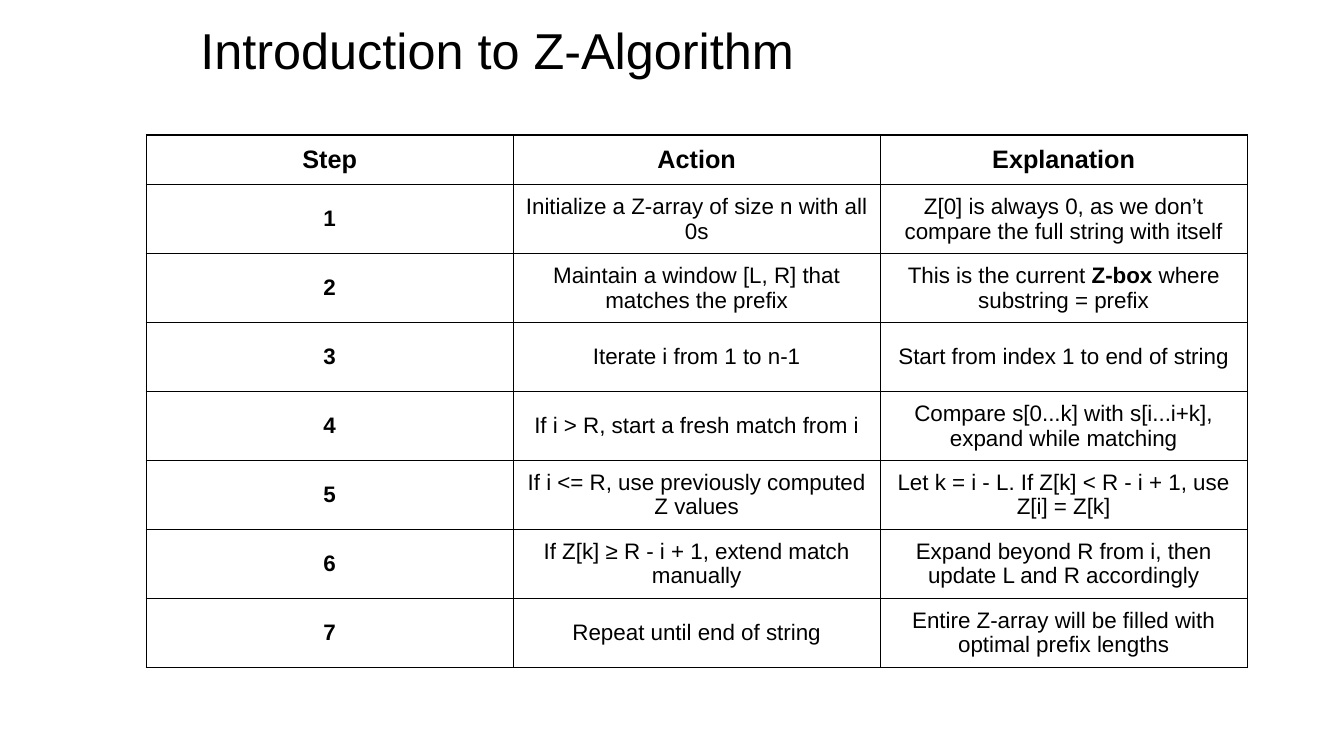
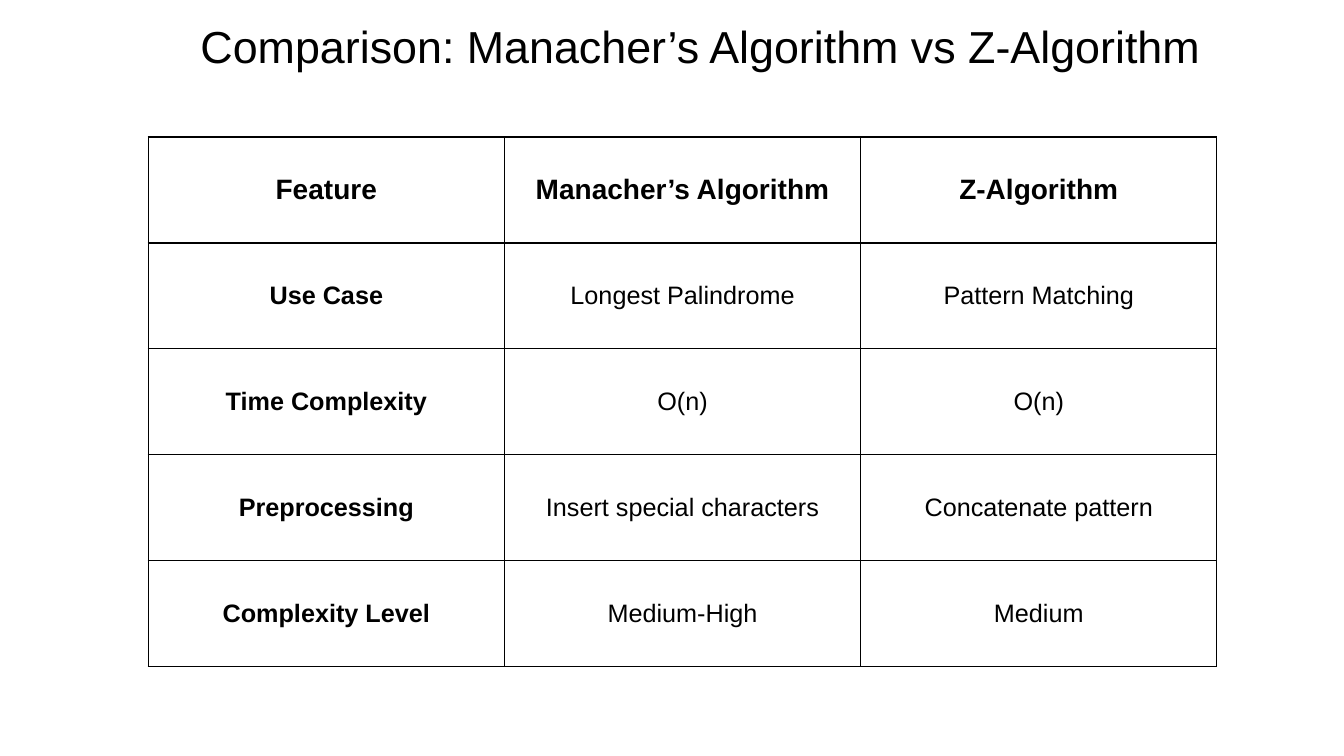
from lxml.etree import SubElement
from pptx import Presentation
from pptx.dml.color import RGBColor
from pptx.enum.text import MSO_ANCHOR, MSO_AUTO_SIZE, PP_ALIGN
from pptx.oxml.ns import qn
from pptx.util import Inches, Pt

BLACK = RGBColor(0, 0, 0)
WHITE = RGBColor(255, 255, 255)
FONT = "Arial"

STEPS = [
    ["Step", "Action", "Explanation"],
    ["1", "Initialize a Z-array of size n with all 0s",
     "Z[0] is always 0, as we don’t compare the full string with itself"],
    ["2", "Maintain a window [L, R] that matches the prefix",
     ("This is the current ", "Z-box", " where substring = prefix")],
    ["3", "Iterate i from 1 to n-1", "Start from index 1 to end of string"],
    ["4", "If i > R, start a fresh match from i",
     "Compare s[0...k] with s[i...i+k], expand while matching"],
    ["5", "If i <= R, use previously computed Z values",
     "Let k = i - L. If Z[k] < R - i + 1, use Z[i] = Z[k]"],
    ["6", "If Z[k] ≥ R - i + 1, extend match manually",
     "Expand beyond R from i, then update L and R accordingly"],
    ["7", "Repeat until end of string",
     "Entire Z-array will be filled with optimal prefix lengths"],
]

COMPARISON = [
    ["Feature", "Manacher’s Algorithm", "Z-Algorithm"],
    ["Use Case", "Longest Palindrome", "Pattern Matching"],
    ["Time Complexity", "O(n)", "O(n)"],
    ["Preprocessing", "Insert special characters", "Concatenate pattern"],
    ["Complexity Level", "Medium-High", "Medium"],
]


def add_run(paragraph, text, size, bold=False):
    run = paragraph.add_run()
    run.text = text
    run.font.name = FONT
    run.font.size = Pt(size)
    run.font.bold = bold
    run.font.color.rgb = BLACK


def add_title(slide, text, size, height):
    box = slide.shapes.add_textbox(Inches(1.89), Inches(0.14), Inches(11.16), Inches(height))
    frame = box.text_frame
    frame.word_wrap = True
    frame.auto_size = MSO_AUTO_SIZE.SHAPE_TO_FIT_TEXT
    add_run(frame.paragraphs[0], text, size)


def add_borders(cell):
    properties = cell._tc.get_or_add_tcPr()
    for side in ("a:lnL", "a:lnR", "a:lnT", "a:lnB"):
        line = SubElement(properties, qn(side), w=str(Pt(1)))
        fill = SubElement(line, qn("a:solidFill"))
        SubElement(fill, qn("a:srgbClr"), val=str(BLACK))


def fill_cell(cell, content, size, bold):
    add_borders(cell)
    cell.fill.solid()
    cell.fill.fore_color.rgb = WHITE
    cell.vertical_anchor = MSO_ANCHOR.MIDDLE
    paragraph = cell.text_frame.paragraphs[0]
    paragraph.alignment = PP_ALIGN.CENTER
    parts = (content,) if isinstance(content, str) else content
    for index, text in enumerate(parts):
        add_run(paragraph, text, size, bold or index % 2 == 1)


def add_grid(slide, rows, left, top, width, height, header_height, header_size, body_size):
    column_count = len(rows[0])
    table = slide.shapes.add_table(len(rows), column_count, Inches(left), Inches(top),
                                   Inches(width), Inches(height)).table
    table.first_row = False
    table.horz_banding = False
    for column in table.columns:
        column.width = Inches(width / column_count)
    body_height = (height - header_height) / (len(rows) - 1)
    for row_index, row in enumerate(rows):
        is_header = row_index == 0
        table.rows[row_index].height = Inches(header_height if is_header else body_height)
        for column_index, content in enumerate(row):
            fill_cell(table.cell(row_index, column_index), content,
                      header_size if is_header else body_size,
                      is_header or column_index == 0)


def add_slide(presentation):
    return presentation.slides.add_slide(presentation.slide_layouts[6])


def main():
    presentation = Presentation()
    presentation.slide_width = Inches(13.33)
    presentation.slide_height = Inches(7.5)

    slide = add_slide(presentation)
    add_title(slide, "Introduction to Z-Algorithm", 36, 0.71)
    add_grid(slide, STEPS, 1.45, 1.34, 10.92, 5.28,
             header_height=0.49, header_size=18, body_size=16)

    slide = add_slide(presentation)
    add_title(slide, "Comparison: Manacher’s Algorithm vs Z-Algorithm", 32, 0.64)
    add_grid(slide, COMPARISON, 1.47, 1.36, 10.6, 5.25,
             header_height=1.05, header_size=20, body_size=18)

    presentation.save("out.pptx")


if __name__ == "__main__":
    main()
